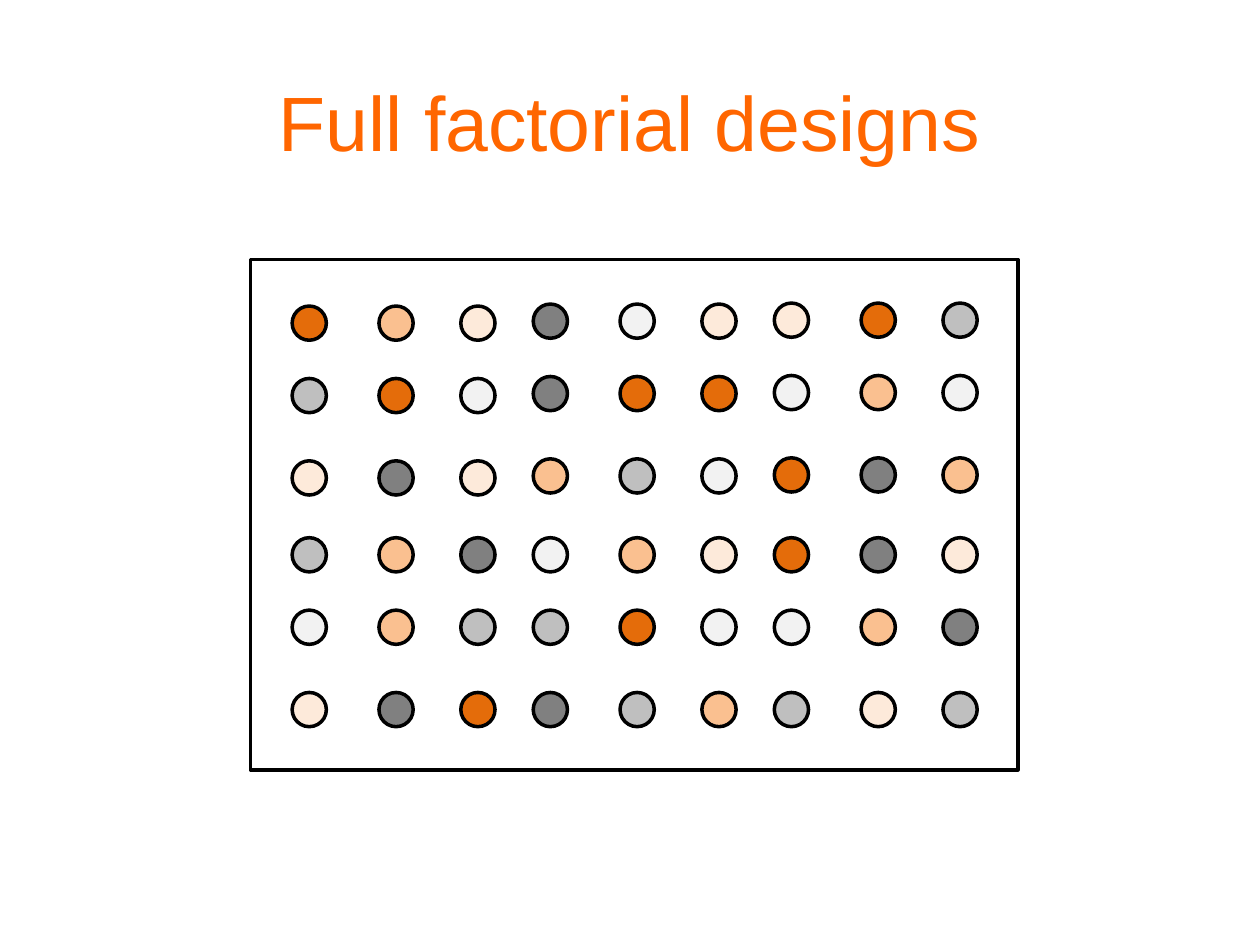
from pptx import Presentation
from pptx.dml.color import RGBColor
from pptx.enum.shapes import MSO_SHAPE as SHAPE
from pptx.enum.text import MSO_ANCHOR as ANCHOR, PP_ALIGN as ALIGN
from pptx.util import Cm, Pt

COLORS = {
    "title": "FF6600",
    "line": "000000",
    "O": "E46C0A",  # dark orange
    "A": "FAC090",  # apricot
    "C": "FDEADA",  # cream
    "D": "808080",  # dark grey
    "G": "BFBFBF",  # grey
    "W": "F2F2F2",  # near white
}

# Each block is a 3 x 3 set of treatments: left, top inside the field, rows
BLOCK_LEFT, BLOCK_STEP = 0.84, 4.86
UPPER_TOPS, LOWER_TOP = (0.94, 0.9, 0.88), 5.61
UPPER_BLOCKS = (("OAC", "GOW", "CDC"), ("DWC", "DOO", "AGW"), ("COG", "WAW", "ODA"))
LOWER_BLOCKS = (("GAD", "WAG", "CDO"), ("WAC", "GOW", "DGA"), ("ODC", "WAD", "GCG"))
COLUMN_OFFSETS = (0, 1.75, 3.4)
ROW_OFFSETS = (0, 1.46, 3.12)
DOT = 0.69


def rgb(key):
    return RGBColor.from_string(COLORS[key])


def add_outlined(s, kind, left, top, width, height, fill=None):
    sp = s.shapes.add_shape(kind, Cm(left), Cm(top), Cm(width), Cm(height))
    sp.shadow.inherit = False
    sp.line.color.rgb = rgb("line")
    sp.line.width = Pt(2)
    if fill:
        sp.fill.solid()
        sp.fill.fore_color.rgb = rgb(fill)
    else:
        sp.fill.background()


def add_title(s, left, top, width, height):
    sp = s.shapes.title
    sp.left, sp.top, sp.width, sp.height = Cm(left), Cm(top), Cm(width), Cm(height)
    tf = sp.text_frame
    tf.text = "Full factorial designs"
    tf.vertical_anchor = ANCHOR.MIDDLE
    p = tf.paragraphs[0]
    p.alignment = ALIGN.CENTER
    font = p.runs[0].font
    font.name, font.size = "Arial", Pt(44)
    font.color.rgb = rgb("title")


def add_block(s, left, top, rows):
    for row, dy in zip(rows, ROW_OFFSETS):
        for treatment, dx in zip(row, COLUMN_OFFSETS):
            add_outlined(s, SHAPE.OVAL, left + dx, top + dy, DOT, DOT, treatment)


def add_field(s, left, top, width, height):
    add_outlined(s, SHAPE.RECTANGLE, left, top, width, height)
    for i, upper_top in enumerate(UPPER_TOPS):
        x = left + BLOCK_LEFT + i * BLOCK_STEP
        add_block(s, x, top + upper_top, UPPER_BLOCKS[i])
        add_block(s, x, top + LOWER_TOP, LOWER_BLOCKS[i])


def main():
    prs = Presentation()
    prs.slide_width, prs.slide_height = Cm(25.4), Cm(19.05)
    s = prs.slides.add_slide(prs.slide_layouts[5])
    # Title
    add_title(s, 0, 0.84, 25.4, 3.18)
    # Field with its six blocks
    add_field(s, 5.05, 5.23, 15.47, 10.29)
    prs.save("out.pptx")


if __name__ == "__main__":
    main()
